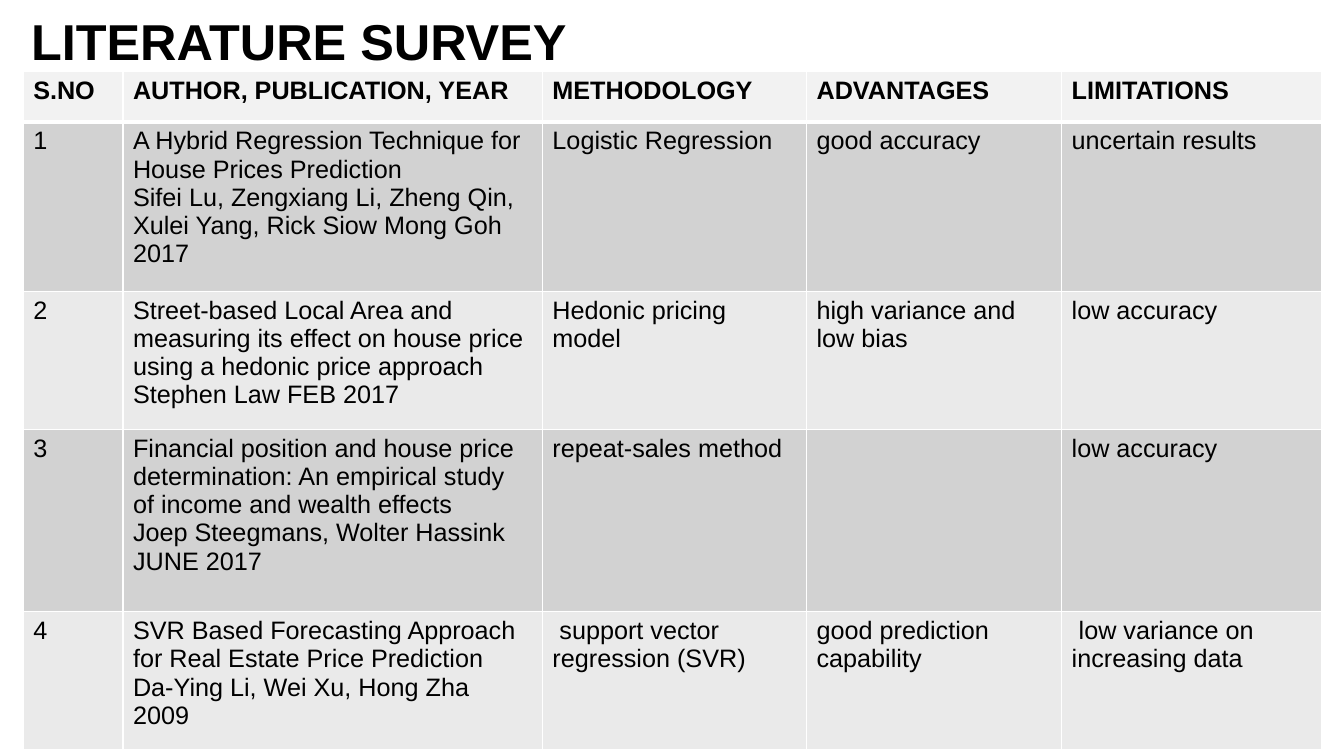
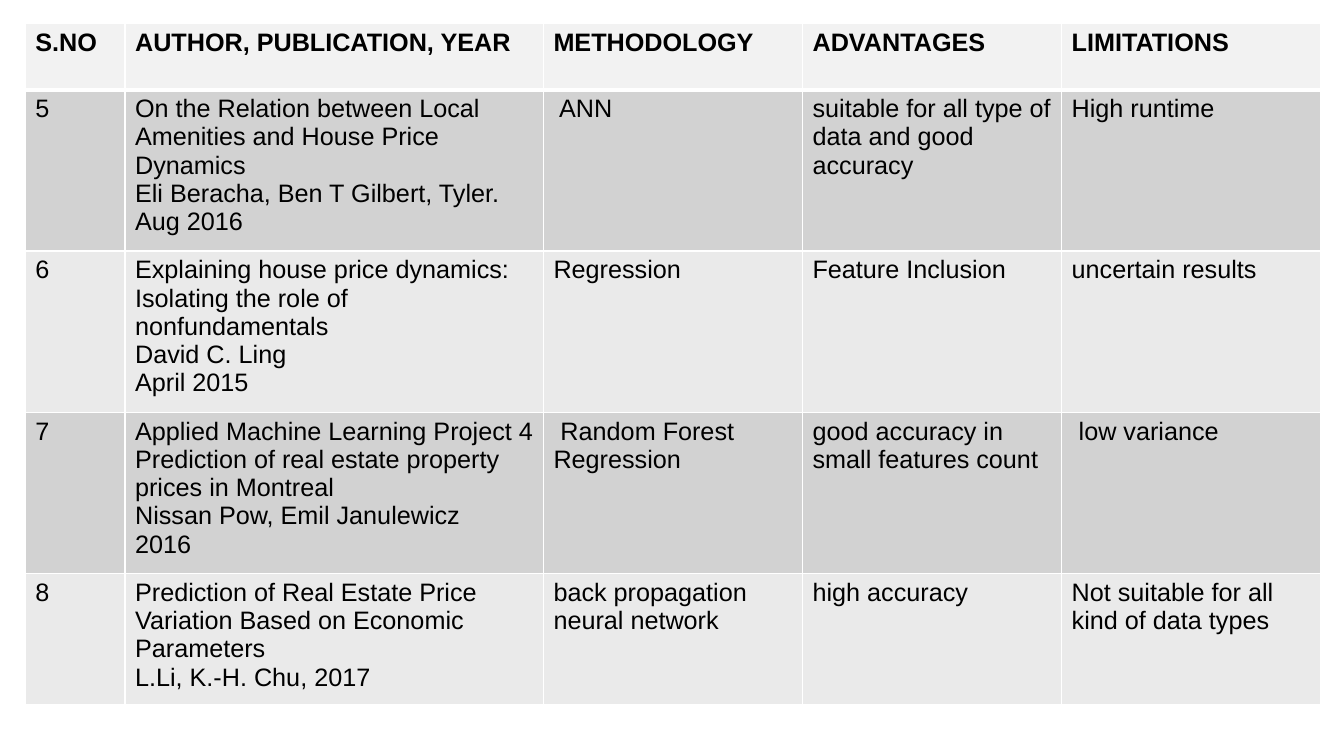
from dataclasses import dataclass
from typing import Sequence

from lxml.etree import SubElement
from pptx import Presentation
from pptx.dml.color import RGBColor as RGB
from pptx.enum.text import MSO_ANCHOR as Anchor
from pptx.oxml.ns import qn
from pptx.util import Inches, Pt


@dataclass(frozen=True)
class Theme:
    font: str = "Arial"
    ink: str = "000000"
    paper: str = "FFFFFF"
    header: str = "F2F2F2"
    bands: tuple[str, str] = ("D2D2D2", "EAEAEA")
    title_size: int = 36
    cell_size: int = 18
    rule: int = 1
    header_rule: int = 3


@dataclass(frozen=True)
class Study:
    source: tuple[str, ...]
    method: str
    advantages: str
    limitations: str


@dataclass(frozen=True)
class Survey:
    left: float
    top: float
    col_widths: tuple[float, ...]
    row_heights: tuple[float, ...]
    first_number: int
    studies: tuple[Study, ...]
    title: str = ""


THEME = Theme()
HEADINGS = ("S.NO", "AUTHOR, PUBLICATION, YEAR", "METHODOLOGY", "ADVANTAGES", "LIMITATIONS")

SURVEYS = (
    Survey(
        left=0.23,
        top=0.71,
        col_widths=(0.99, 4.16, 2.62, 2.53, 2.58),
        row_heights=(0.5, 1.68, 1.37, 1.81, 1.37),
        first_number=1,
        title="LITERATURE SURVEY",
        studies=(
            Study(
                (
                    "A Hybrid Regression Technique for House Prices Prediction",
                    "Sifei Lu, Zengxiang Li, Zheng Qin, Xulei Yang, Rick Siow Mong Goh",
                    "2017",
                ),
                "Logistic Regression",
                "good accuracy",
                "uncertain results",
            ),
            Study(
                (
                    "Street-based Local Area and measuring its effect on house price "
                    "using a hedonic price approach",
                    "Stephen Law FEB 2017",
                ),
                "Hedonic pricing model",
                "high variance and low bias",
                "low accuracy",
            ),
            Study(
                (
                    "Financial position and house price determination: "
                    "An empirical study of income and wealth effects",
                    "Joep Steegmans, Wolter Hassink",
                    "JUNE 2017",
                ),
                "repeat-sales method",
                "",
                "low accuracy",
            ),
            Study(
                (
                    "SVR Based Forecasting Approach for Real Estate Price Prediction",
                    "Da-Ying Li, Wei Xu, Hong Zha",
                    "2009",
                ),
                " support vector regression (SVR)",
                "good prediction capability",
                " low variance on increasing data",
            ),
        ),
    ),
    Survey(
        left=0.25,
        top=0.23,
        col_widths=(0.99, 4.15, 2.57, 2.57, 2.57),
        row_heights=(0.66, 1.5, 1.5, 1.57, 1.22),
        first_number=5,
        studies=(
            Study(
                (
                    "On the Relation between Local Amenities and House Price Dynamics",
                    "Eli Beracha, Ben T Gilbert, Tyler.",
                    "Aug 2016",
                ),
                " ANN",
                "suitable for all type of data and good accuracy",
                "High runtime",
            ),
            Study(
                (
                    "Explaining house price dynamics: Isolating the role of nonfundamentals",
                    "David C. Ling",
                    "April 2015",
                ),
                "Regression",
                "Feature Inclusion",
                "uncertain results",
            ),
            Study(
                (
                    "Applied Machine Learning Project 4 Prediction of real estate "
                    "property prices in Montreal",
                    "Nissan Pow, Emil Janulewicz",
                    "2016",
                ),
                " Random Forest Regression",
                "good accuracy in small features count",
                " low variance",
            ),
            Study(
                (
                    "Prediction of Real Estate Price Variation Based on Economic Parameters",
                    "L.Li, K.-H. Chu, 2017",
                ),
                "back propagation neural network",
                "high accuracy",
                "Not suitable for all kind of data types",
            ),
        ),
    ),
)


def write(tf, lines: Sequence[str], size: int, bold: bool = False) -> None:
    for i, line in enumerate(lines):
        p = tf.paragraphs[0] if i == 0 else tf.add_paragraph()
        r = p.add_run()
        r.text = line
        r.font.name = THEME.font
        r.font.size = Pt(size)
        r.font.bold = bold
        r.font.color.rgb = RGB.from_string(THEME.ink)


def add_title(s, text: str) -> None:
    sp = s.shapes.add_textbox(Inches(0.21), Inches(0.08), Inches(12.45), Inches(0.64))
    tf = sp.text_frame
    tf.word_wrap = True
    tf.vertical_anchor = Anchor.MIDDLE
    write(tf, [text], THEME.title_size, bold=True)


def set_borders(cell, top: int, bottom: int) -> None:
    tc_pr = cell._tc.get_or_add_tcPr()
    edges = (("lnL", THEME.rule), ("lnR", THEME.rule), ("lnT", top), ("lnB", bottom))
    for i, (tag, width) in enumerate(edges):
        ln = SubElement(tc_pr, qn(f"a:{tag}"), w=str(Pt(width)))
        fill = SubElement(ln, qn("a:solidFill"))
        SubElement(fill, qn("a:srgbClr"), val=THEME.paper)
        tc_pr.insert(i, ln)


def add_survey(s, survey: Survey) -> None:
    rows = [[(heading,) for heading in HEADINGS]]
    for number, study in enumerate(survey.studies, survey.first_number):
        rows.append([
            (str(number),),
            study.source,
            (study.method,),
            (study.advantages,),
            (study.limitations,),
        ])
    frame = s.shapes.add_table(
        len(rows), len(HEADINGS),
        Inches(survey.left), Inches(survey.top),
        Inches(sum(survey.col_widths)), Inches(sum(survey.row_heights)),
    )
    table = frame.table
    table.horz_banding = False
    for col, width in zip(table.columns, survey.col_widths):
        col.width = Inches(width)
    for row, height in zip(table.rows, survey.row_heights):
        row.height = Inches(height)
    for i, row in enumerate(rows):
        is_header = i == 0
        color = THEME.header if is_header else THEME.bands[(i - 1) % 2]
        top = THEME.header_rule if i == 1 else THEME.rule
        bottom = THEME.header_rule if is_header else THEME.rule
        for j, lines in enumerate(row):
            cell = table.cell(i, j)
            cell.fill.solid()
            cell.fill.fore_color.rgb = RGB.from_string(color)
            set_borders(cell, top, bottom)
            write(cell.text_frame, [t for t in lines if t], THEME.cell_size, is_header)


def main() -> None:
    prs = Presentation()
    prs.slide_width = Inches(13.33)
    prs.slide_height = Inches(7.5)
    for survey in SURVEYS:
        s = prs.slides.add_slide(prs.slide_layouts[6])
        s.background.fill.solid()
        s.background.fill.fore_color.rgb = RGB.from_string(THEME.paper)
        if survey.title:
            add_title(s, survey.title)
        add_survey(s, survey)
    prs.save("out.pptx")


if __name__ == "__main__":
    main()
